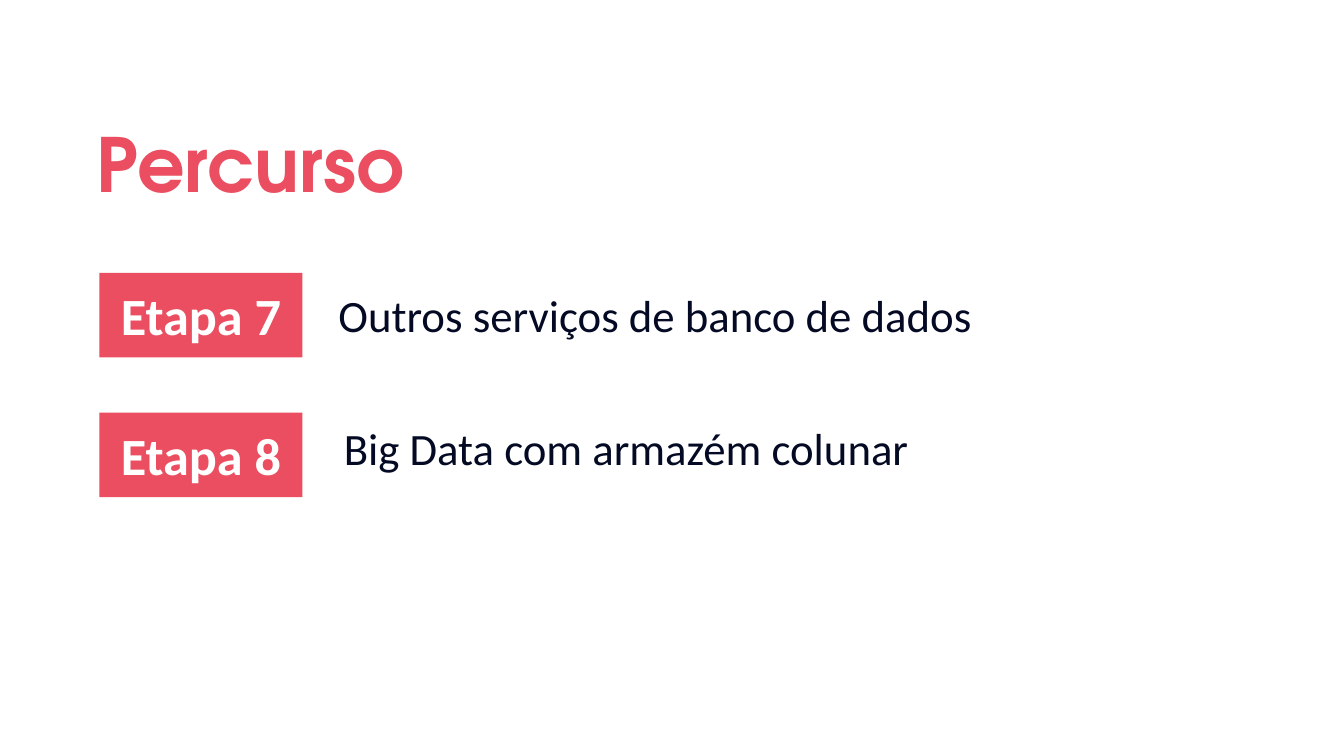
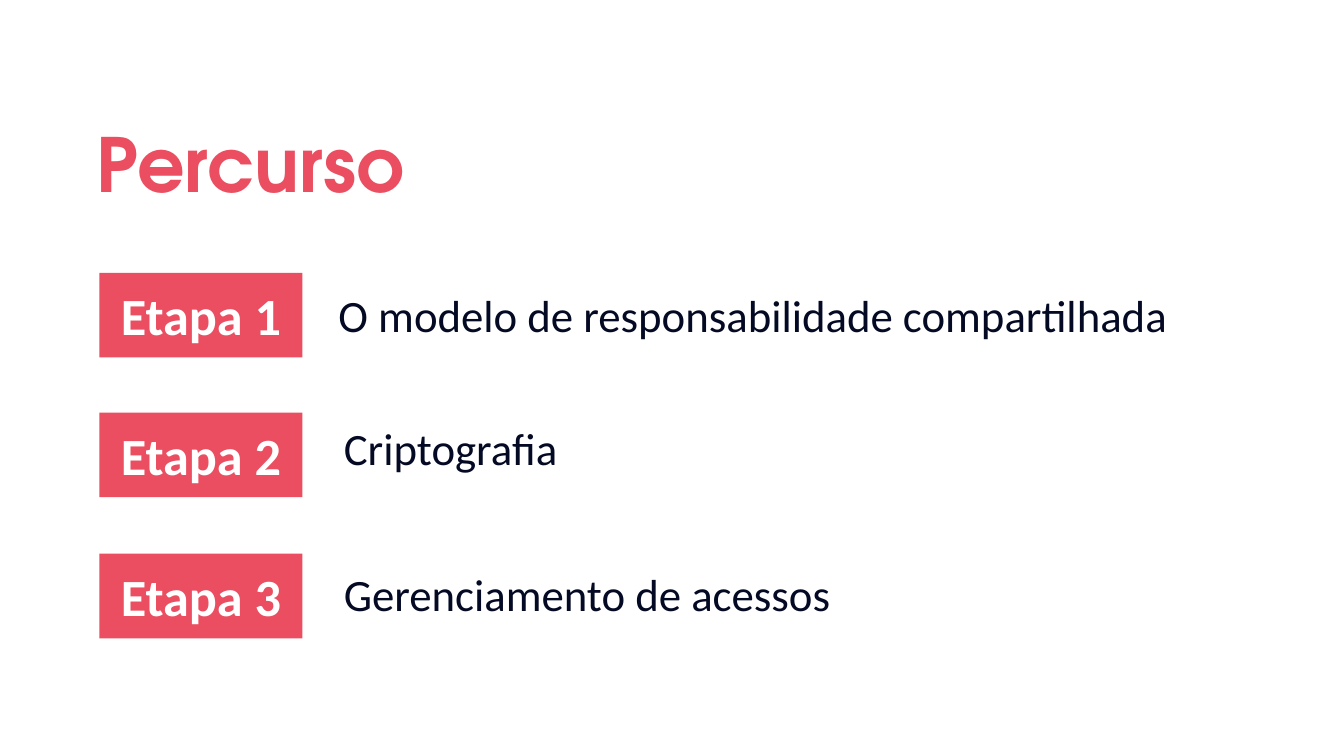
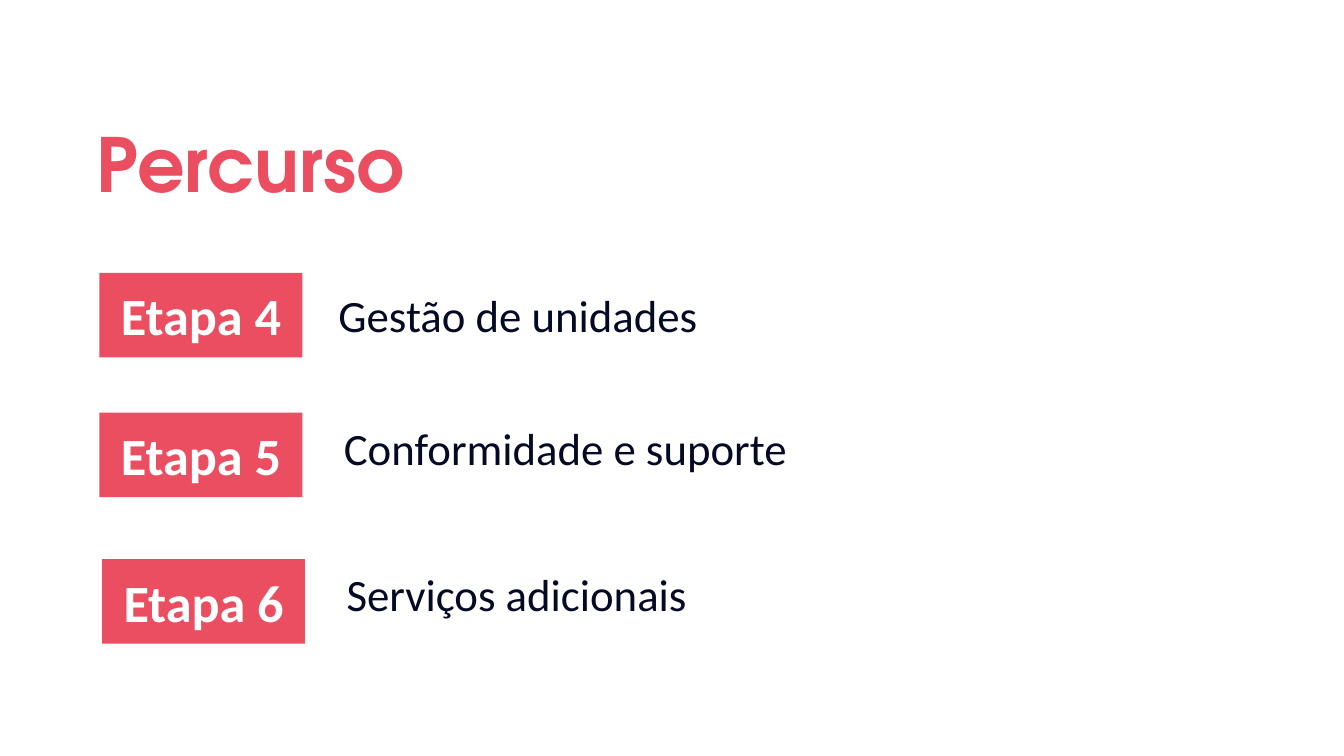
from dataclasses import dataclass

from pptx import Presentation
from pptx.dml.color import RGBColor
from pptx.enum.shapes import MSO_SHAPE as Preset
from pptx.enum.text import MSO_ANCHOR as Anchor, MSO_AUTO_SIZE as AutoSize, PP_ALIGN as Align
from pptx.slide import Slide
from pptx.util import Inches, Pt


@dataclass(frozen=True)
class Theme:
    accent: RGBColor = RGBColor.from_string("EA4E60")
    ink: RGBColor = RGBColor.from_string("040A24")
    white: RGBColor = RGBColor.from_string("FFFFFF")
    title_font: str = "TeX Gyre Adventor"
    body_font: str = "Calibri"
    title_size: int = 40
    badge_size: int = 28
    topic_size: int = 24


@dataclass(frozen=True)
class Row:
    badge_left: float
    badge_top: float
    topic_left: float
    topic_top: float


@dataclass(frozen=True)
class Agenda:
    first_stage: int
    topics: tuple[str, ...]
    rows: tuple[Row, ...]


THEME = Theme()
TITLE_ONLY = 5
SLIDE_WIDTH = Inches(10)
SLIDE_HEIGHT = SLIDE_WIDTH * 9 // 16
BADGE_WIDTH, BADGE_HEIGHT = 1.51, 0.63
TOPIC_WIDTH, TOPIC_HEIGHT = 6.75, 0.5
HANGING = Inches(0.5)

ROWS = (
    Row(0.74, 2.03, 2.42, 2.09),
    Row(0.74, 3.07, 2.46, 3.08),
    Row(0.74, 4.12, 2.46, 4.17),
)
SHIFTED_ROWS = ROWS[:2] + (Row(0.76, 4.16, 2.48, 4.17),)

AGENDAS = (
    Agenda(7, ("Outros serviços de banco de dados", "Big Data com armazém colunar"), ROWS),
    Agenda(
        1,
        ("O modelo de responsabilidade compartilhada", "Criptografia", "Gerenciamento de acessos"),
        ROWS,
    ),
    Agenda(4, ("Gestão de unidades", "Conformidade e suporte", "Serviços adicionais"), SHIFTED_ROWS),
)


def write_text(
    shape,
    text: str,
    *,
    size: int,
    color: RGBColor,
    font: str = THEME.body_font,
    bold: bool = False,
    align: Align = Align.LEFT,
    anchor: Anchor = Anchor.MIDDLE,
    vertical_inset: float = 0.1,
    line_spacing: float = 1.0,
    hanging: int = 0,
) -> None:
    frame = shape.text_frame
    frame.word_wrap = True
    frame.auto_size = AutoSize.NONE
    frame.vertical_anchor = anchor
    frame.margin_left = frame.margin_right = Inches(0.1)
    frame.margin_top = frame.margin_bottom = Inches(vertical_inset)
    paragraph = frame.paragraphs[0]
    paragraph.alignment = align
    paragraph.line_spacing = line_spacing
    if hanging:
        properties = paragraph._p.get_or_add_pPr()
        properties.set("marL", str(hanging))
        properties.set("indent", str(-hanging))
    run = paragraph.add_run()
    run.text = text
    run.font.name = font
    run.font.size = Pt(size)
    run.font.bold = bold
    run.font.color.rgb = color


def add_title(slide: Slide, text: str) -> None:
    title = slide.shapes.title
    title.left, title.top = Inches(0.62), Inches(0.7)
    title.width, title.height = Inches(8.1), Inches(0.92)
    write_text(
        title,
        text,
        size=THEME.title_size,
        color=THEME.accent,
        font=THEME.title_font,
        bold=True,
        line_spacing=1.15,
    )


def add_badge(slide: Slide, row: Row, text: str) -> None:
    badge = slide.shapes.add_shape(
        Preset.RECTANGLE,
        Inches(row.badge_left),
        Inches(row.badge_top),
        Inches(BADGE_WIDTH),
        Inches(BADGE_HEIGHT),
    )
    badge.shadow.inherit = False
    badge.fill.solid()
    badge.fill.fore_color.rgb = THEME.accent
    badge.line.fill.background()
    write_text(
        badge, text, size=THEME.badge_size, color=THEME.white, bold=True, align=Align.CENTER
    )


def add_topic(slide: Slide, row: Row, text: str) -> None:
    topic = slide.shapes.add_textbox(
        Inches(row.topic_left),
        Inches(row.topic_top),
        Inches(TOPIC_WIDTH),
        Inches(TOPIC_HEIGHT),
    )
    write_text(
        topic,
        text,
        size=THEME.topic_size,
        color=THEME.ink,
        anchor=Anchor.TOP,
        vertical_inset=0.05,
        hanging=HANGING,
    )


def add_agenda(presentation, agenda: Agenda) -> None:
    slide = presentation.slides.add_slide(presentation.slide_layouts[TITLE_ONLY])
    slide.background.fill.solid()
    slide.background.fill.fore_color.rgb = THEME.white
    add_title(slide, "Percurso")
    stages = enumerate(zip(agenda.topics, agenda.rows), start=agenda.first_stage)
    for number, (topic, row) in stages:
        add_badge(slide, row, f"Etapa {number}")
        add_topic(slide, row, topic)


def main() -> None:
    presentation = Presentation()
    presentation.slide_width = SLIDE_WIDTH
    presentation.slide_height = SLIDE_HEIGHT
    for agenda in AGENDAS:
        add_agenda(presentation, agenda)
    presentation.save("out.pptx")


if __name__ == "__main__":
    main()
